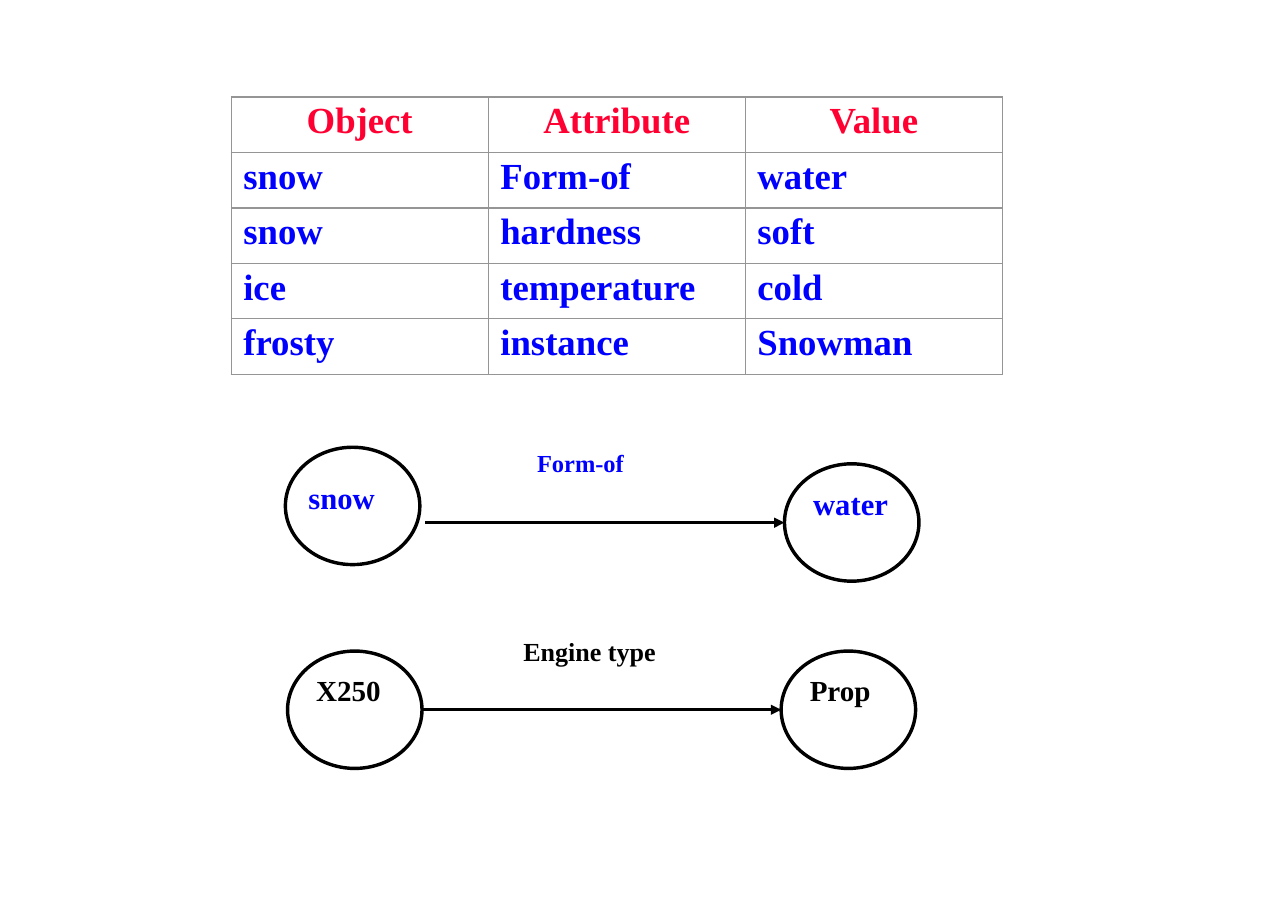
import pptx
import pptx.util
import pptx.dml.color
import pptx.enum.shapes
import pptx.enum.text
import pptx.oxml.ns
import lxml.etree

BLUE, RED, BLACK, GREY = "0000FF", "FF0032", "000000", "959595"
Pt, Inches = pptx.util.Pt, pptx.util.Inches
qn = pptx.oxml.ns.qn
deck = pptx.Presentation()
deck.slide_width, deck.slide_height = Inches(11.69), Inches(8.26)
col, row = deck.slide_width / 100, deck.slide_height / 100
slide = deck.slides.add_slide(deck.slide_layouts[6])
shapes = slide.shapes


def paint(hue):
    return pptx.dml.color.RGBColor.from_string(hue)


def write(frame, words, size, hue, before):
    frame.text = words
    para = frame.paragraphs[0]
    para.space_before = Pt(before)
    font = para.runs[0].font
    font.name, font.size, font.bold = "Times New Roman", Pt(size), True
    font.color.rgb = paint(hue)
    return para


# Table of object, attribute and value
facts = [
    ("Object", "Attribute", "Value"),
    ("snow", "Form-of", "water"),
    ("snow", "hardness", "soft"),
    ("ice", "temperature", "cold"),
    ("frosty", "instance", "Snowman"),
]
frame = shapes.add_table(5, 3, int(17.95 * col), int(10.65 * row),
                         int(59.88 * col), int(30.5 * row))
table = frame.table
table.first_row = table.horz_banding = False
for r, fact in enumerate(facts):
    for c, word in enumerate(fact):
        cell = table.cell(r, c)
        head = r == 0
        cell.margin_left = 0 if head else Inches(0.11)
        cell.margin_top = Inches(0.04)
        cell.margin_right = cell.margin_bottom = 0
        para = write(cell.text_frame, word, 24, RED if head else BLUE, 2.9)
        if head:
            para.alignment = pptx.enum.text.PP_ALIGN.CENTER
        # Borders come before the fill in the cell's XML
        props = cell._tc.get_or_add_tcPr()
        for side in ("a:lnL", "a:lnR", "a:lnT", "a:lnB"):
            edge = lxml.etree.SubElement(props, qn(side), w=str(Pt(1)))
            fill = lxml.etree.SubElement(edge, qn("a:solidFill"))
            lxml.etree.SubElement(fill, qn("a:srgbClr"), val=GREY)
        cell.fill.background()

# Nodes of the two graphs: left, top
for x, y in [(22.16, 49.15), (60.91, 50.97), (22.33, 71.55), (60.65, 71.55)]:
    node = shapes.add_shape(pptx.enum.shapes.MSO_SHAPE.OVAL, int(x * col),
                            int(y * row), int(10.44 * col), int(12.9 * row))
    node.shadow.inherit = False
    node.fill.background()
    node.line.color.rgb = paint(BLACK)
    node.line.width = Pt(2.25)

# Arrows: start, end, height
for x, end, y in [(33.02, 60.91, 57.43), (32.77, 60.65, 77.99)]:
    arrow = shapes.add_connector(
        pptx.enum.shapes.MSO_CONNECTOR.STRAIGHT,
        int(x * col), int(y * row), int(end * col), int(y * row))
    arrow.line.color.rgb = paint(BLACK)
    arrow.line.width = Pt(2.25)
    lxml.etree.SubElement(arrow.line._get_or_add_ln(), qn("a:tailEnd"),
                          type="triangle")
    lxml.etree.SubElement(arrow._element.spPr, qn("a:effectLst"))

# Labels: words, left, top, width, size, colour, space before
labels = [
    ("snow", 23.95, 52.54, 7.4, 20, BLUE, 0.9),
    ("water", 63.13, 53.15, 7.4, 20, BLUE, 0.9),
    ("Form-of", 41.7, 49.15, 9.5, 16, BLUE, 2.8),
    ("X250", 24.55, 73.73, 5.2, 19, BLACK, 0.9),
    ("Prop", 62.87, 73.73, 5, 19, BLACK, 0.9),
    ("Engine type", 40.63, 69.73, 10.6, 17, BLACK, 1),
]
for words, x, y, wide, size, hue, before in labels:
    box = shapes.add_textbox(int(x * col), int(y * row),
                             int(wide * col), int(4.1 * row))
    text = box.text_frame
    text.word_wrap = True
    text.margin_left = text.margin_right = text.margin_bottom = 0
    text.margin_top = Inches(0.01)
    write(text, words, size, hue, before)

deck.save("out.pptx")
